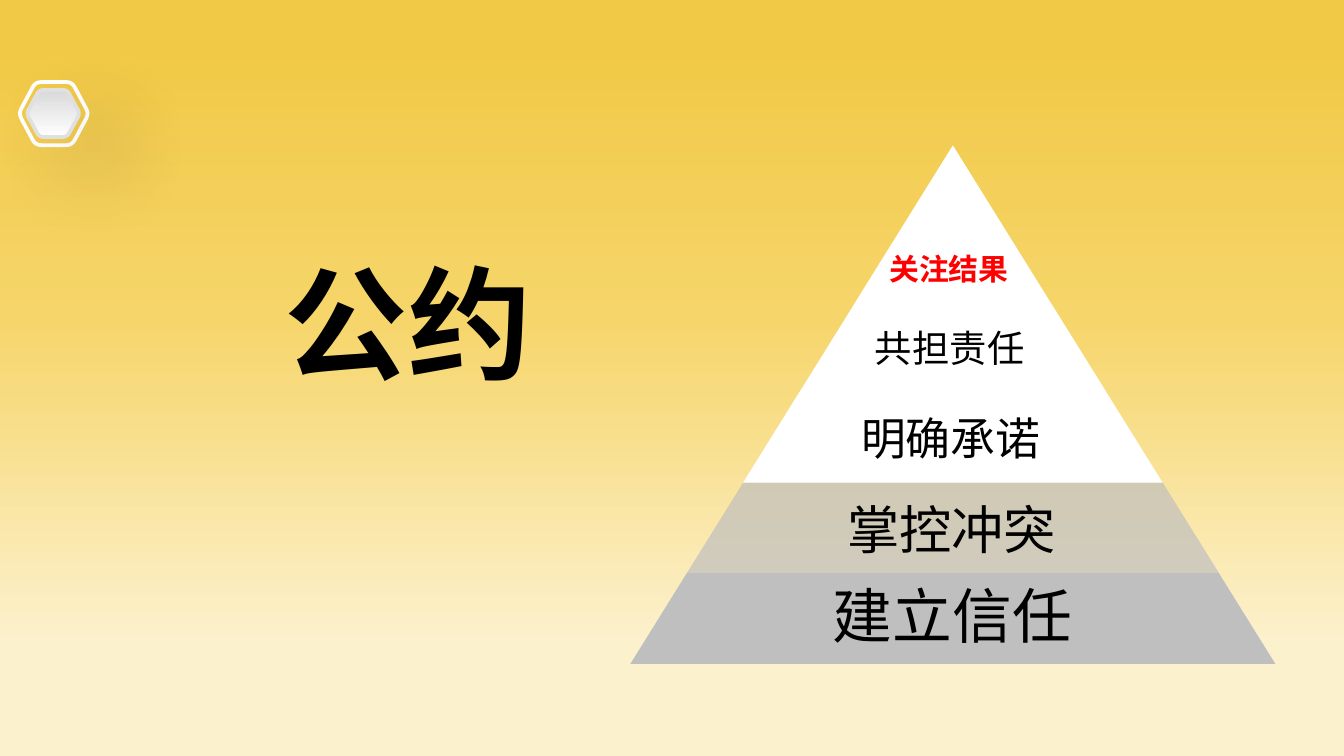
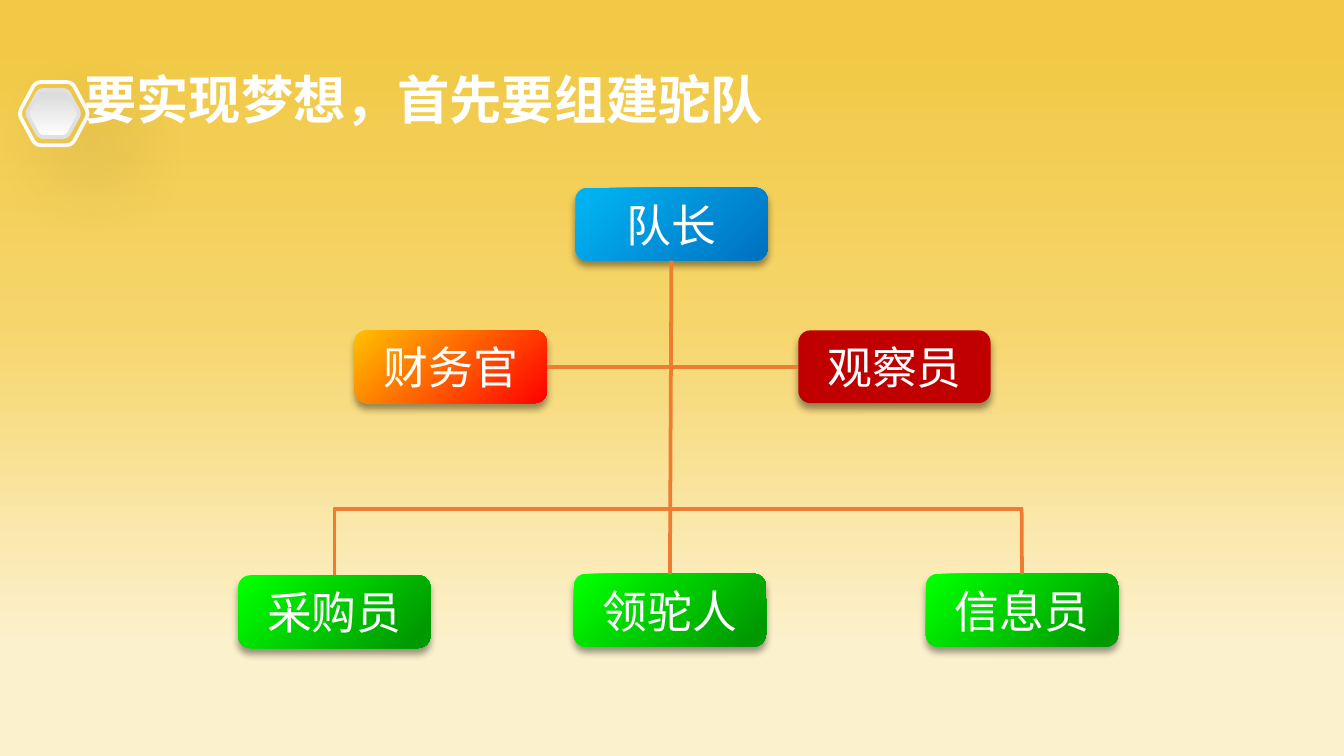
import math

import pptx
import pptx.dml.color
import pptx.enum.shapes
import pptx.enum.text
import pptx.oxml
import pptx.oxml.ns
import pptx.util

Pt = pptx.util.Pt
qn = pptx.oxml.ns.qn
FONT = "Noto Sans CJK JP"
COLORS = {
    "cream": "FCF1CD", "sand": "F6D56A", "gold": "F1C946",
    "white": "FFFFFF", "black": "000000", "red": "FF0000",
    "silver": "D9D9D9", "rim": "E0E0E0", "gray": "BFBFBF",
    "sky": "00B0F0", "blue": "0070C0", "amber": "FFC000",
    "crimson": "C00000", "lime": "00FF00", "green": "009900",
    "orange": "ED7D31",
}
BACKGROUND = [(15, "cream"), (58, "sand"), (94, "gold")]
BADGE_SHADOW = (15, 45, 27, 38)
BOX_SHADOW = (40, 4, 3, 90)
BOX_WIDTH, BOX_HEIGHT = 103, 39


def rgb(name):
    return pptx.dml.color.RGBColor.from_string(COLORS[name])


def add_xml(parent, tag, **attributes):
    child = parent.makeelement(qn(tag), {k: str(v) for k, v in attributes.items()})
    parent.append(child)
    return child


def add_color(parent, name, alpha=100):
    color = add_xml(parent, "a:srgbClr", val=COLORS[name])
    if alpha < 100:
        add_xml(color, "a:alpha", val=alpha * 1000)


def paint_gradient(fill, element, stops, angle):
    fill.gradient()
    gradient = next(element.iter(qn("a:gradFill")))
    stop_list = gradient.find(qn("a:gsLst"))
    for stop in list(stop_list):
        stop_list.remove(stop)
    for position, name in stops:
        add_color(add_xml(stop_list, "a:gs", pos=position * 1000), name)
    gradient.find(qn("a:lin")).set("ang", str(angle * 60000))


def paint_solid(shape, name, alpha=100):
    shape.fill.solid()
    shape.fill.fore_color.rgb = rgb(name)
    if alpha < 100:
        color = next(shape.element.spPr.iter(qn("a:srgbClr")))
        add_xml(color, "a:alpha", val=alpha * 1000)


def add_shadow(shape, alpha, blur, distance, angle):
    effects = shape.element.spPr.find(qn("a:effectLst"))
    shadow = add_xml(effects, "a:outerShdw", blurRad=Pt(blur), dist=Pt(distance),
                     dir=angle * 60000, algn="ctr", rotWithShape=0)
    add_color(shadow, "black", alpha)


def write_text(shape, text, size=24, color="black", bold=False, centered=True,
               spacing=0):
    para = shape.text_frame.paragraphs[0]
    align = pptx.enum.text.PP_ALIGN
    para.alignment = align.CENTER if centered else align.LEFT
    span = para.add_run()
    span.text = text
    span.font.size = Pt(size)
    span.font.bold = bold
    span.font.color.rgb = rgb(color)
    span.font.name = FONT
    properties = span.font._element
    add_xml(properties, "a:ea", typeface=FONT)
    if spacing:
        properties.set("spc", str(int(spacing * 100)))


def add_text(page, text, left, top, width, height, **text_format):
    box = page.shapes.add_textbox(Pt(left), Pt(top), Pt(width), Pt(height))
    box.text_frame.word_wrap = True
    box.text_frame.auto_size = pptx.enum.text.MSO_AUTO_SIZE.SHAPE_TO_FIT_TEXT
    write_text(box, text, **text_format)


def add_outline(page, points):
    corners = [(Pt(x), Pt(y)) for x, y in points]
    builder = page.shapes.build_freeform(*corners[0], scale=1.0)
    builder.add_line_segments(corners[1:], close=True)
    shape = builder.convert_to_shape()
    shape.shadow.inherit = False
    shape.line.fill.background()
    return shape


def rounded_hexagon(left, top, width, height, rounding=0.16, steps=5):
    inset = 0.24 * width
    right, bottom, middle = left + width, top + height, top + height / 2
    corners = [(left + inset, top), (right - inset, top), (right, middle),
               (right - inset, bottom), (left + inset, bottom), (left, middle)]
    points = []
    for index, corner in enumerate(corners):
        before, after = corners[index - 1], corners[(index + 1) % 6]
        for step in range(steps + 1):
            t = step / steps
            pull_in, pull_out = rounding * (1 - t) ** 2, rounding * t ** 2
            points.append(tuple(c + pull_in * (b - c) + pull_out * (a - c)
                                for b, c, a in zip(before, corner, after)))
    return points


def add_badge(page):
    ring = add_outline(page, rounded_hexagon(10, 44, 37.6, 33.8))
    ring.fill.background()
    core = add_outline(page, rounded_hexagon(14.2, 48.2, 28.6, 25.2))
    paint_gradient(core.fill, core.element, [(0, "silver"), (100, "white")], 90)
    for shape, color in ((ring, "white"), (core, "rim")):
        shape.line.color.rgb = rgb(color)
        shape.line.width = Pt(2)
        add_shadow(shape, *BADGE_SHADOW)


def add_page(deck):
    page = deck.slides.add_slide(deck.slide_layouts[6])
    paint_gradient(page.background.fill, page.element, BACKGROUND, 270)
    add_badge(page)
    return page


def add_tier(page, top, bottom, apex, center, slope, fill, alpha):
    upper, lower = (top - apex) * slope, (bottom - apex) * slope
    tier = add_outline(page, [(center - lower, bottom), (center - upper, top),
                              (center + upper, top), (center + lower, bottom)])
    paint_solid(tier, fill, alpha)


def add_pyramid(page):
    apex, base, center, step = 77.9, 355.7, 510.5, 48.6
    slope = 172.8 / (base - apex)
    tiers = [
        ("建立信任", 306.7, "gray", 100, {}),
        ("掌控冲突", 262.8, "gray", 70, {}),
        ("明确承诺", 216.7, "white", 100, {}),
        ("共担责任", 170.6, "white", 100, {}),
        ("关注结果", 131, "white", 100, {"color": "red", "bold": True}),
    ]
    for index, (text, text_top, fill, alpha, emphasis) in enumerate(tiers):
        bottom = base - index * step
        top = apex if index == len(tiers) - 1 else bottom - step
        add_tier(page, top, bottom, apex, center, slope, fill, alpha)
        size = 32 - 4 * index
        add_text(page, text, 398 - 0.5 * index, text_top, 224.6, 1.2 * size + 7.2,
                 size=size, **emphasis)


def add_role(page, text, left, top, stops):
    box = page.shapes.add_shape(pptx.enum.shapes.MSO_SHAPE.ROUNDED_RECTANGLE,
                                Pt(left), Pt(top), Pt(BOX_WIDTH), Pt(BOX_HEIGHT))
    box.shadow.inherit = False
    add_shadow(box, *BOX_SHADOW)
    box.line.fill.background()
    if len(stops) == 1:
        paint_solid(box, stops[0][1])
    else:
        paint_gradient(box.fill, box.element, stops, 45)
    box.text_frame.word_wrap = True
    box.text_frame.vertical_anchor = pptx.enum.text.MSO_ANCHOR.MIDDLE
    write_text(box, text, color="white")
    return box


def add_link(page, start, end, bent=False):
    kinds = pptx.enum.shapes.MSO_CONNECTOR
    link = page.shapes.add_connector(kinds.ELBOW if bent else kinds.STRAIGHT,
                                     *(Pt(value) for value in start + end))
    if bent:
        link.element.spPr.find(qn("a:prstGeom")).set("prst", "bentConnector2")
    link.line.color.rgb = rgb("orange")
    link.line.width = Pt(2)
    add_xml(link.element.spPr, "a:effectLst")
    return link


def add_team_chart(page):
    greens = [(4, "lime"), (91, "green")]
    captain = add_role(page, "队长", 308.2, 100.6, [(10, "sky"), (100, "blue")])
    treasurer = add_role(page, "财务官", 190, 177, [(0, "amber"), (100, "red")])
    guide = add_role(page, "领驼人", 307.4, 307.4, greens)
    add_role(page, "采购员", 127.6, 308.2, greens)
    informer = add_role(page, "信息员", 496, 307.4, greens)
    observer = add_role(page, "观察员", 427.7, 177, [(0, "crimson")])

    trunk = add_link(page, (359.5, 139.6), (359, 307.4))
    trunk.begin_connect(captain, 2)
    trunk.end_connect(guide, 0)
    add_link(page, (548, 272.6), (179.2, 308.2), bent=True)
    add_link(page, (547.3, 272.4), (547.3, 307.4)).end_connect(informer, 0)
    add_link(page, (293, 196.5), (359.3, 196.5)).begin_connect(treasurer, 3)
    add_link(page, (360.6, 196.5), (427.7, 196.5)).end_connect(observer, 1)


def main():
    deck = pptx.Presentation()
    deck.slide_width, deck.slide_height = Pt(720), Pt(405)

    pact = add_page(deck)
    add_text(pact, "公约", 141.8, 128.9, 153.4, 87, size=66, bold=True, spacing=0.5)
    add_pyramid(pact)

    team = add_page(deck)
    add_text(team, "要实现梦想，首先要组建驼队", 38.2, 32.4, 604.8, 41,
             size=28, color="white", bold=True, centered=False)
    add_team_chart(team)

    deck.save("out.pptx")


if __name__ == "__main__":
    main()
